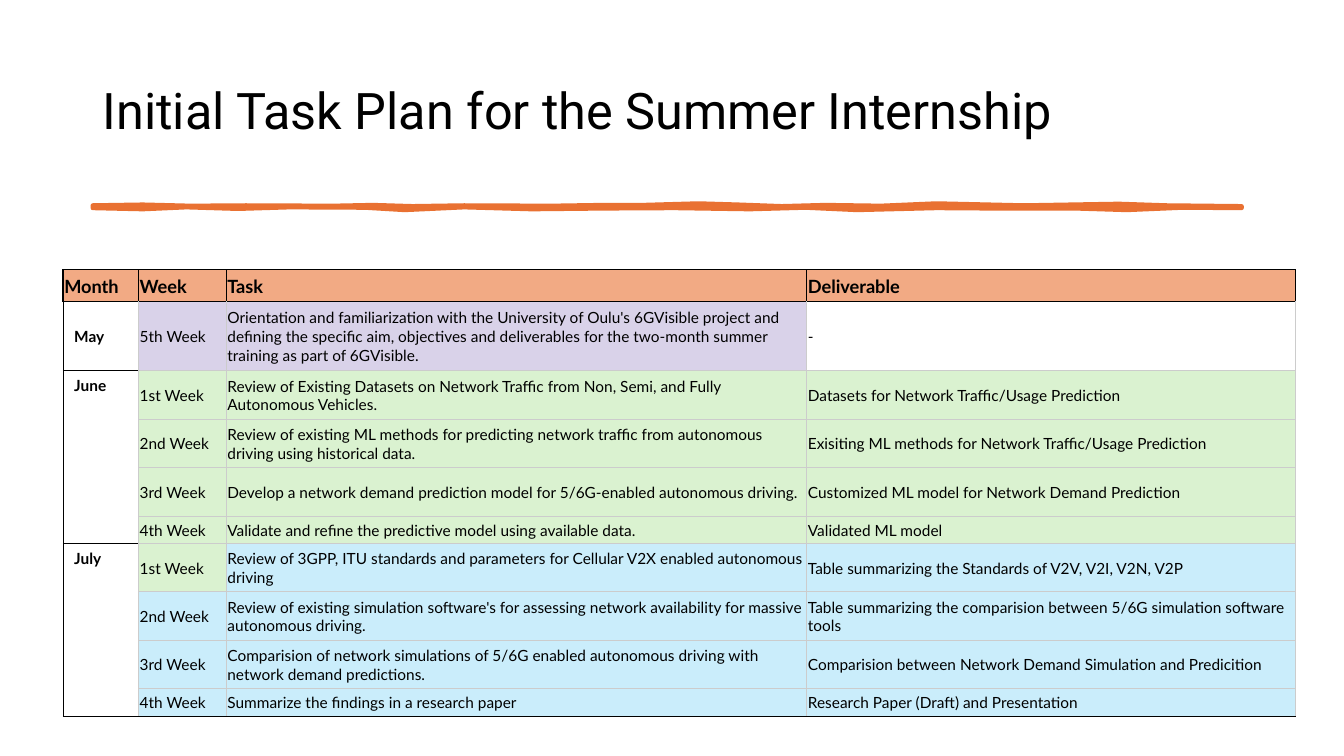
"""Build the slide with the initial task plan for the summer internship."""
from dataclasses import dataclass
from typing import Optional

import pptx
import pptx.dml.color
import pptx.enum.text
import pptx.oxml
import pptx.oxml.ns
import pptx.slide
import pptx.table
import pptx.util
from pptx.dml.color import RGBColor
from pptx.util import Cm

BLACK = RGBColor(0x00, 0x00, 0x00)
GREY = RGBColor(0xCC, 0xCC, 0xCC)
ORANGE = RGBColor(0xE9, 0x71, 0x32)
PEACH = RGBColor(0xF2, 0xAA, 0x84)
LILAC = RGBColor(0xD9, 0xD2, 0xE9)
GREEN = RGBColor(0xDA, 0xF2, 0xD0)
BLUE = RGBColor(0xCA, 0xED, 0xFB)

MIDDLE = pptx.enum.text.MSO_ANCHOR.MIDDLE
TOP = pptx.enum.text.MSO_ANCHOR.TOP


@dataclass
class Border:
    """Colour and width of one cell edge."""
    color: RGBColor
    points: float


@dataclass
class Week:
    """One week of the plan."""
    name: str
    task: str
    deliverable: str
    height: float
    fills: tuple[Optional[RGBColor], Optional[RGBColor], Optional[RGBColor]]


@dataclass
class Month:
    """One month and its weeks."""
    name: str
    weeks: list[Week]


HEAVY = Border(BLACK, 1)
DARK = Border(BLACK, 0.5)
LIGHT = Border(GREY, 0.5)

HEADINGS = ["Month", "Week", "Task", "Deliverable"]
COLUMN_WIDTHS = [1.9, 2.21, 14.63, 12.32]
HEADER_HEIGHT = 0.79
TALL, DOUBLE, SINGLE = 1.75, 1.22, 0.69
ALL_GREEN = (GREEN, GREEN, GREEN)
ALL_BLUE = (BLUE, BLUE, BLUE)

PLAN = [
    Month("May", [
        Week("5th Week",
             "Orientation and familiarization with the University of Oulu's 6GVisible project and "
             "defining the specific aim, objectives and deliverables for the two-month summer "
             "training as part of 6GVisible.",
             "-", TALL, (LILAC, LILAC, None)),
    ]),
    Month("June", [
        Week("1st Week",
             "Review of Existing Datasets on Network Traffic from Non, Semi, and Fully "
             "Autonomous Vehicles.",
             "Datasets for Network Traffic/Usage Prediction", DOUBLE, ALL_GREEN),
        Week("2nd Week",
             "Review of existing ML methods for predicting network traffic from autonomous "
             "driving using historical data.",
             "Exisiting ML methods for Network Traffic/Usage Prediction", DOUBLE, ALL_GREEN),
        Week("3rd Week",
             "Develop a network demand prediction model for 5/6G-enabled autonomous driving.",
             "Customized ML model for Network Demand Prediction", DOUBLE, ALL_GREEN),
        Week("4th Week", "Validate and refine the predictive model using available data.",
             "Validated ML model", SINGLE, ALL_GREEN),
    ]),
    Month("July", [
        Week("1st Week",
             "Review of 3GPP, ITU standards and parameters for Cellular V2X enabled autonomous "
             "driving",
             "Table summarizing the Standards of V2V, V2I, V2N, V2P", DOUBLE,
             (GREEN, BLUE, BLUE)),
        Week("2nd Week",
             "Review of existing simulation software's for assessing network availability for "
             "massive autonomous driving.",
             "Table summarizing the comparision between 5/6G simulation software tools",
             DOUBLE, ALL_BLUE),
        Week("3rd Week",
             "Comparision of network simulations of 5/6G enabled autonomous driving with "
             "network demand predictions.",
             "Comparision between Network Demand Simulation and Predicition", DOUBLE, ALL_BLUE),
        Week("4th Week", "Summarize the findings in a research paper",
             "Research Paper (Draft) and Presentation", SINGLE, ALL_BLUE),
    ]),
]

BRUSH_TOP = [
    (2.34, 5.18), (3.6, 5.16), (4.8, 5.19), (6.2, 5.18), (8.4, 5.19), (9.4, 5.17),
    (10.4, 5.2), (11.7, 5.18), (13.9, 5.19), (15.2, 5.17), (16.2, 5.17), (17.6, 5.13),
    (18.6, 5.16), (19.7, 5.2), (20.8, 5.17), (22.2, 5.19), (23.6, 5.13), (25.8, 5.18),
    (28.2, 5.14), (29.4, 5.18), (31.29, 5.2),
]
BRUSH_BOTTOM = [
    (31.29, 5.24), (29.8, 5.23), (28.4, 5.29), (27.1, 5.25), (25, 5.25), (23.6, 5.24),
    (21.6, 5.29), (20.3, 5.23), (18.9, 5.27), (17, 5.24), (15.2, 5.25), (13.4, 5.27),
    (11.7, 5.22), (10.2, 5.29), (9.2, 5.23), (7.3, 5.22), (6, 5.26), (4.7, 5.22),
    (3.6, 5.27), (2.34, 5.24),
]


def add_title(page: pptx.slide.Slide, text: str) -> None:
    """Add the heading of the slide."""
    frame = page.shapes.add_textbox(Cm(2.34), Cm(1.02), Cm(29.21), Cm(3.68)).text_frame
    frame.word_wrap = True
    frame.vertical_anchor = MIDDLE
    para = frame.paragraphs[0]
    para.text = text
    para.line_spacing = 0.9
    para.font.name = "Roboto"
    para.font.size = pptx.util.Pt(36)
    para.font.color.rgb = BLACK


def add_brush_stroke(page: pptx.slide.Slide) -> None:
    """Add the uneven orange rule below the title."""
    start, *rest = [(Cm(x), Cm(y)) for x, y in BRUSH_TOP + BRUSH_BOTTOM]
    builder = page.shapes.build_freeform(*start)
    builder.add_line_segments(rest, close=True)
    stroke = builder.convert_to_shape()
    stroke.shadow.inherit = False
    stroke.fill.solid()
    stroke.fill.fore_color.rgb = ORANGE
    stroke.line.color.rgb = ORANGE
    stroke.line.width = pptx.util.Pt(3.25)


def set_borders(cell: pptx.table._Cell, left: Border, right: Border, top: Border,
                bottom: Border) -> None:
    """Draw the four edges of a cell."""
    properties = cell._tc.get_or_add_tcPr()
    for side, border in zip("LRTB", (left, right, top, bottom)):
        properties.append(pptx.oxml.parse_xml(
            f'<a:ln{side} {pptx.oxml.ns.nsdecls("a")} w="{pptx.util.Pt(border.points)}">'
            f'<a:solidFill><a:srgbClr val="{border.color}"/></a:solidFill></a:ln{side}>'))


def fill_cell(cell: pptx.table._Cell, text: str, color: Optional[RGBColor], size: float = 11,
              bold: bool = False, indent: float = 0.03, top: float = 0.03,
              anchor: pptx.enum.text.MSO_ANCHOR = MIDDLE) -> None:
    """Set the text and background of a cell."""
    if color is None:
        cell.fill.background()
    else:
        cell.fill.solid()
        cell.fill.fore_color.rgb = color
    cell.margin_left, cell.margin_right = Cm(indent), Cm(0.03)
    cell.margin_top, cell.margin_bottom = Cm(top), Cm(0)
    cell.vertical_anchor = anchor
    para = cell.text_frame.paragraphs[0]
    para.text = text
    para.font.name = "Lato"
    para.font.size = pptx.util.Pt(size)
    para.font.bold = bold
    para.font.color.rgb = BLACK


def add_plan(page: pptx.slide.Slide) -> None:
    """Add the table of months, weeks, tasks and deliverables."""
    heights = [HEADER_HEIGHT] + [week.height for month in PLAN for week in month.weeks]
    table = page.shapes.add_table(len(heights), len(HEADINGS), Cm(1.59), Cm(6.8),
                                  Cm(sum(COLUMN_WIDTHS)), Cm(sum(heights))).table
    table.first_row = table.horz_banding = False
    for column, width in zip(table.columns, COLUMN_WIDTHS):
        column.width = Cm(width)
    for row, height in zip(table.rows, heights):
        row.height = Cm(height)
    for index, heading in enumerate(HEADINGS):
        set_borders(table.cell(0, index), HEAVY, HEAVY, HEAVY, HEAVY)
        fill_cell(table.cell(0, index), heading, PEACH, size=13, bold=True)

    line = 1
    for month in PLAN:
        first, last = line, line + len(month.weeks) - 1
        for week in month.weeks:
            upper = HEAVY if line == 1 else LIGHT
            lower = DARK if line == len(heights) - 1 else LIGHT
            set_borders(table.cell(line, 0), DARK, LIGHT, HEAVY if line == 1 else DARK, DARK)
            texts = (week.name, week.task, week.deliverable)
            for index, (text, color) in enumerate(zip(texts, week.fills), start=1):
                set_borders(table.cell(line, index), LIGHT, LIGHT, upper, lower)
                fill_cell(table.cell(line, index), text, color)
            line += 1
        spans = last > first
        if spans:
            table.cell(first, 0).merge(table.cell(last, 0))
        fill_cell(table.cell(first, 0), month.name, None, bold=True, indent=0.28,
                  top=0.15 if spans else 0.03, anchor=TOP if spans else MIDDLE)


def main() -> None:
    """Build and save the deck."""
    deck = pptx.Presentation()
    deck.slide_width, deck.slide_height = Cm(33.87), Cm(19.05)
    page = deck.slides.add_slide(deck.slide_layouts[6])
    add_title(page, "Initial Task Plan for the Summer Internship")
    add_brush_stroke(page)
    add_plan(page)
    deck.save("out.pptx")


if __name__ == "__main__":
    main()
